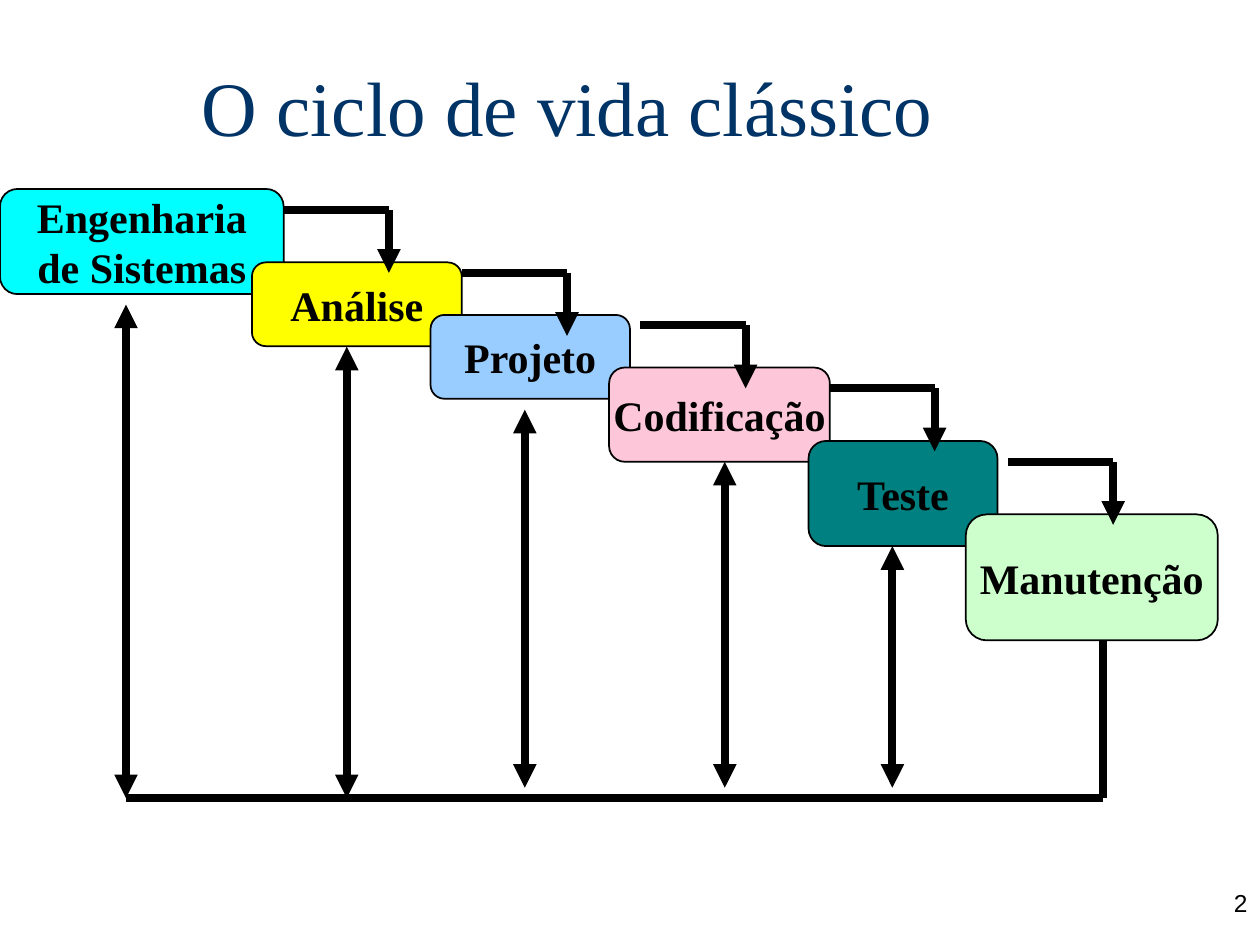
import lxml.etree
import pptx
import pptx.dml.color
import pptx.enum.shapes
import pptx.enum.text
import pptx.oxml.ns
import pptx.util

Cm = pptx.util.Cm
Pt = pptx.util.Pt
RGBColor = pptx.dml.color.RGBColor
PP_ALIGN = pptx.enum.text.PP_ALIGN
MSO_ANCHOR = pptx.enum.text.MSO_ANCHOR
qn = pptx.oxml.ns.qn

BLACK = RGBColor(0x00, 0x00, 0x00)
WHITE = RGBColor(0xFF, 0xFF, 0xFF)
NAVY = RGBColor(0x00, 0x33, 0x66)
CYAN = RGBColor(0x00, 0xFF, 0xFF)
YELLOW = RGBColor(0xFF, 0xFF, 0x00)
SKY = RGBColor(0x99, 0xCC, 0xFF)
PINK = RGBColor(0xFE, 0xC6, 0xD9)
TEAL = RGBColor(0x00, 0x80, 0x80)
MINT = RGBColor(0xCC, 0xFF, 0xCC)

SERIF = "Times New Roman"
SANS = "Arial"

# Phase: label, fill, and left, top, width, height in cm inside the diagram
PHASES = [
    ("Engenharia\nde Sistemas", CYAN, 0, 0, 5.72, 2.12),
    ("Análise", YELLOW, 5.08, 1.48, 4.23, 1.69),
    ("Projeto", SKY, 8.68, 2.54, 4.02, 1.69),
    ("Codificação", PINK, 12.28, 3.6, 4.45, 1.9),
    ("Teste", TEAL, 16.3, 5.08, 3.81, 2.12),
    ("Manutenção", MINT, 19.47, 6.56, 5.08, 2.54),
]

# Start of each step down to the next phase, in cm
STEP_STARTS = [(5.72, 0.42), (9.31, 1.69), (12.91, 2.75), (16.72, 4.02), (20.32, 5.5)]
STEP_RUN, STEP_DROP = 2.12, 1.27

# Feedback arrows: x, bottom and top in cm
FEEDBACK = [
    (2.54, 12.28, 2.33),
    (6.99, 12.28, 3.18),
    (10.58, 12.07, 4.45),
    (14.61, 12.07, 5.5),
    (17.99, 12.07, 7.2),
]
RETURN_X, RETURN_TOP, BASELINE = 22.23, 9.1, 12.28


def format_text(frame, font_name, size, color, align, bold=False):
    for paragraph in frame.paragraphs:
        paragraph.alignment = align
        for run in paragraph.runs:
            run.font.name = font_name
            run.font.size = Pt(size)
            run.font.bold = bold
            run.font.color.rgb = color


def add_title(slide, left, top, width, height):
    title = slide.shapes.title
    title.left, title.top, title.width, title.height = left, top, width, height
    frame = title.text_frame
    frame.text = "O ciclo de vida clássico"
    frame.auto_size = pptx.enum.text.MSO_AUTO_SIZE.NONE
    frame.vertical_anchor = MSO_ANCHOR.BOTTOM
    format_text(frame, SERIF, 44, NAVY, PP_ALIGN.LEFT)


def add_line(slide, start, end, arrowheads=()):
    line = slide.shapes.add_connector(
        pptx.enum.shapes.MSO_CONNECTOR.STRAIGHT, *start, *end)
    line.line.color.rgb = BLACK
    line.line.width = Pt(4.5)
    outline = line.line._get_or_add_ln()
    for arrowhead in arrowheads:
        lxml.etree.SubElement(outline, qn(f"a:{arrowhead}"), type="triangle")
    lxml.etree.SubElement(line._element.spPr, qn("a:effectLst"))


def add_phase(slide, label, fill, left, top, width, height):
    phase = slide.shapes.add_shape(
        pptx.enum.shapes.MSO_SHAPE.ROUNDED_RECTANGLE, left, top, width, height)
    phase.shadow.inherit = False
    phase.fill.solid()
    phase.fill.fore_color.rgb = fill
    phase.line.color.rgb = BLACK
    phase.line.width = Pt(1)
    frame = phase.text_frame
    frame.text = label
    frame.word_wrap = False
    frame.vertical_anchor = MSO_ANCHOR.MIDDLE
    format_text(frame, SERIF, 24, BLACK, PP_ALIGN.CENTER, bold=True)


def add_life_cycle(slide, left, top):
    def at(x, y):
        return left + Cm(x), top + Cm(y)

    # Cascade of phases
    for label, fill, x, y, width, height in PHASES:
        add_phase(slide, label, fill, *at(x, y), Cm(width), Cm(height))

    # Steps from one phase to the next
    for x, y in STEP_STARTS:
        corner = at(x + STEP_RUN, y)
        add_line(slide, at(x, y), corner)
        add_line(slide, corner, at(x + STEP_RUN, y + STEP_DROP), ["tailEnd"])

    # Return path from the last phase along the baseline
    corner = at(RETURN_X, BASELINE)
    add_line(slide, at(RETURN_X, RETURN_TOP), corner)
    add_line(slide, corner, at(FEEDBACK[0][0], BASELINE))

    # Feedback to each earlier phase
    for x, bottom, peak in FEEDBACK:
        add_line(slide, at(x, bottom), at(x, peak), ["headEnd", "tailEnd"])


def add_page_number(slide, left, top, width, height):
    page_number = slide.shapes.add_textbox(left, top, width, height)
    frame = page_number.text_frame
    frame.word_wrap = True
    frame.text = "2"
    format_text(frame, SANS, 14, BLACK, PP_ALIGN.RIGHT)


def main():
    deck = pptx.Presentation()
    deck.slide_width, deck.slide_height = Cm(25.4), Cm(19.05)
    slide = deck.slides.add_slide(deck.slide_layouts.get_by_name("Title Only"))
    slide.background.fill.solid()
    slide.background.fill.fore_color.rgb = WHITE

    add_title(slide, Cm(3.81), Cm(0), Cm(21.59), Cm(3.18))
    add_life_cycle(slide, Cm(0), Cm(3.81))
    add_page_number(slide, Cm(20.11), Cm(17.78), Cm(5.29), Cm(1.27))
    deck.save("out.pptx")


if __name__ == "__main__":
    main()
